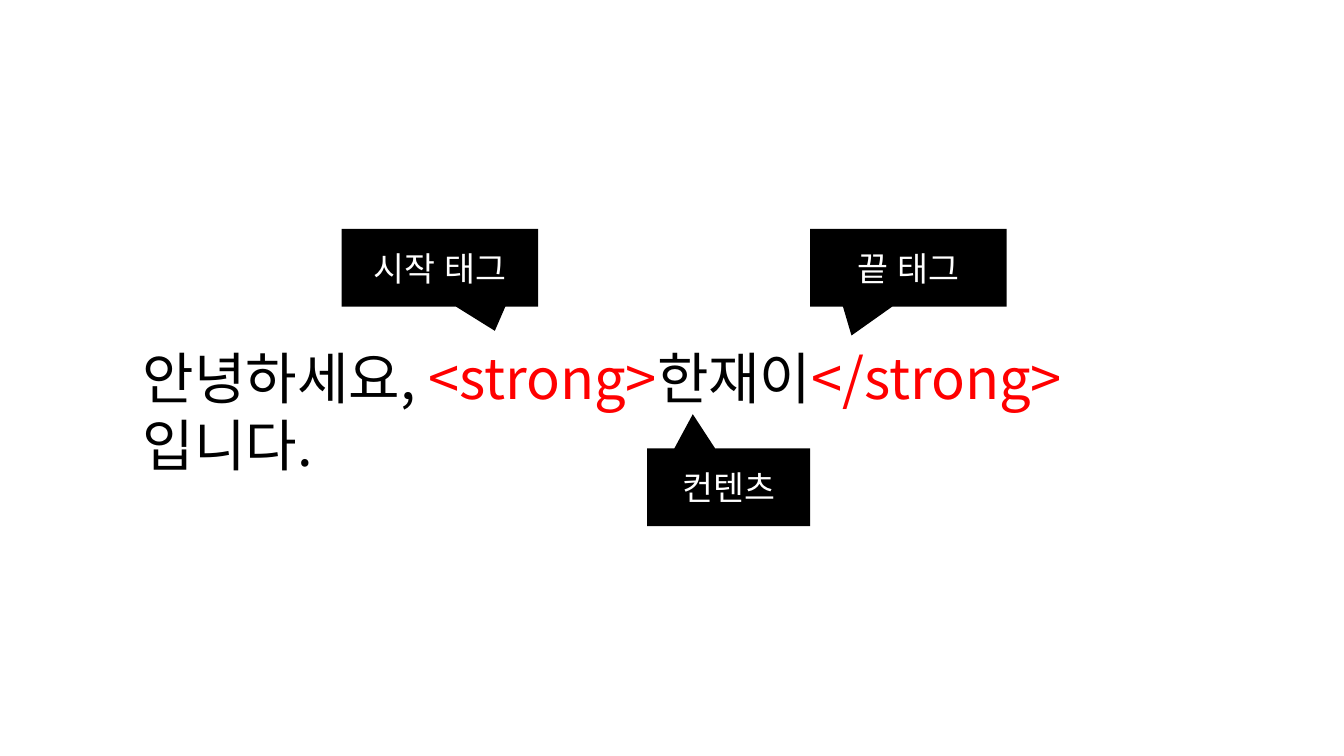
from lxml.etree import SubElement
from pptx import Presentation
from pptx.dml.color import RGBColor
from pptx.enum.lang import MSO_LANGUAGE_ID as LANG
from pptx.enum.shapes import MSO_SHAPE as SHAPE
from pptx.enum.text import MSO_ANCHOR as ANCHOR, MSO_AUTO_SIZE as AUTO, PP_ALIGN as ALIGN
from pptx.oxml.ns import qn
from pptx.util import Cm, Pt

FONT = "Noto Sans CJK KR"
COLORS = {"black": "000000", "red": "FF0000", "white": "FFFFFF"}
SENTENCE = [
    ("안녕하세요, ", "black"),
    ("<strong>", "red"),
    ("한재이", "black"),
    ("</strong>", "red"),
    ("입니다.", "black"),
]
TAG_TOP, TAG_W, CALLOUT_H = 5.77, 4.95, 1.96
CALLOUTS = [
    ("시작 태그", 8.61, TAG_TOP, TAG_W, (0.28, 0.81)),
    ("컨텐츠", 16.31, 11.3, 4.11, (-0.22, -0.94)),
    ("끝 태그", 20.42, TAG_TOP, TAG_W, (-0.29, 0.87)),
]


def rgb(name):
    return RGBColor.from_string(COLORS[name])


def add_run(p, text, size, color):
    r = p.add_run()
    r.text = text
    formats = {"name": FONT, "size": Pt(size), "language_id": LANG.KOREAN}
    for key, value in formats.items():
        setattr(r.font, key, value)
    r.font.color.rgb = rgb(color)
    SubElement(r.font._element, qn("a:ea"), typeface=FONT)


def add_sentence(s):
    tf = s.shapes.add_textbox(Cm(3.35), Cm(8.53), Cm(27.18), Cm(1.96)).text_frame
    for key, value in {"word_wrap": True, "auto_size": AUTO.SHAPE_TO_FIT_TEXT}.items():
        setattr(tf, key, value)
    for text, color in SENTENCE:
        add_run(tf.paragraphs[0], text, 40, color)


def add_callout(s, text, left, top, width, tip):
    box = [Cm(v) for v in (left, top, width, CALLOUT_H)]
    sp = s.shapes.add_shape(SHAPE.RECTANGULAR_CALLOUT, *box)
    for i, value in enumerate(tip):
        sp.adjustments[i] = value
    sp.shadow.inherit = False
    sp.fill.solid()
    sp.fill.fore_color.rgb = rgb("black")
    sp.line.fill.background()
    tf = sp.text_frame
    tf.vertical_anchor = ANCHOR.MIDDLE
    p = tf.paragraphs[0]
    p.alignment = ALIGN.CENTER
    add_run(p, text, 24, "white")


def main():
    prs = Presentation()
    prs.slide_width, prs.slide_height = Cm(33.87), Cm(19.05)
    s = prs.slides.add_slide(prs.slide_layouts[6])
    add_sentence(s)
    for callout in CALLOUTS:
        add_callout(s, *callout)
    prs.save("out.pptx")


if __name__ == "__main__":
    main()
